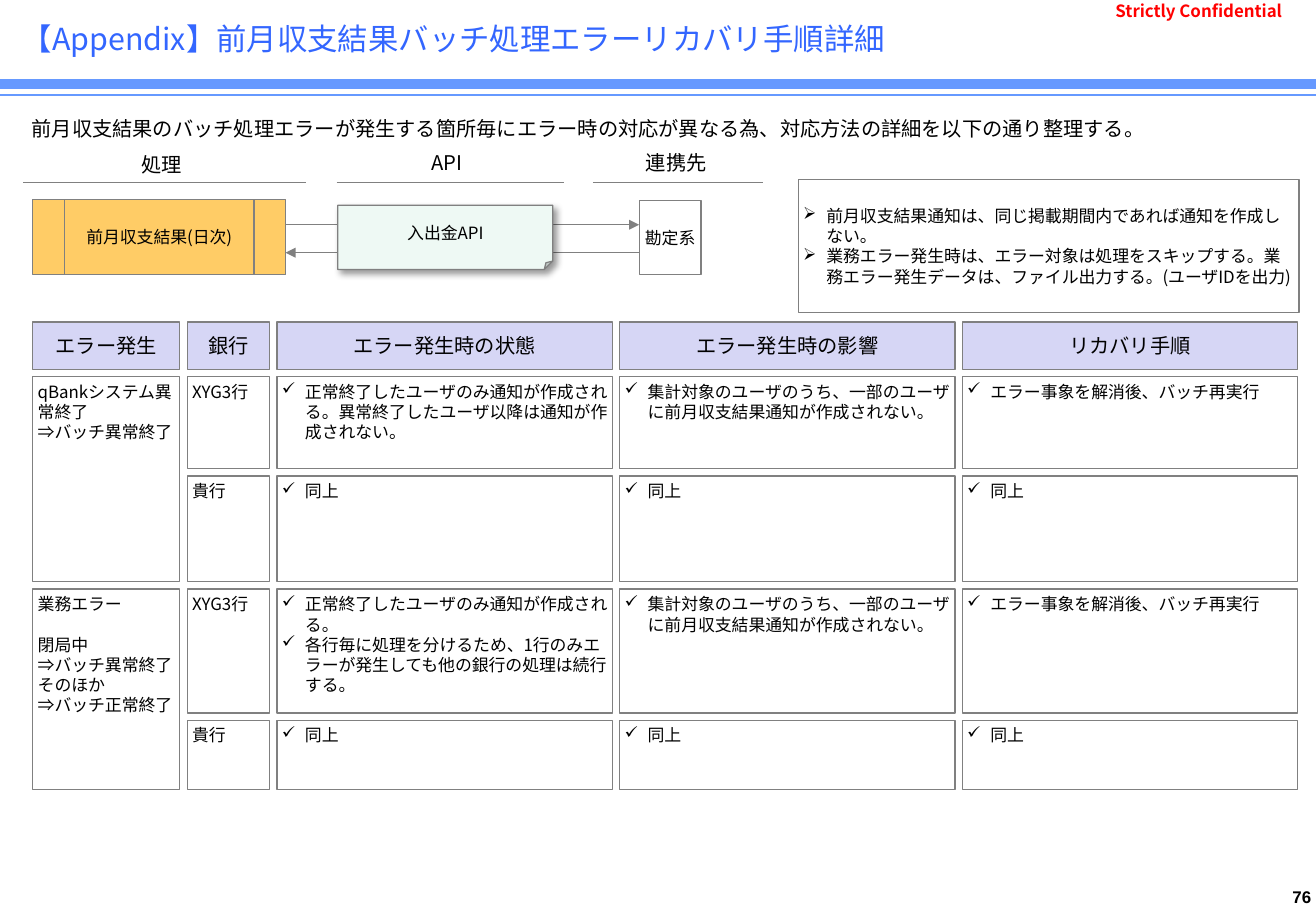
from itertools import accumulate

from lxml import etree
from pptx import Presentation, util as u
from pptx.dml.color import RGBColor
from pptx.enum import shapes, text
from pptx.oxml import ns
from pptx.util import Inches

COLORS = {
    "title": "3366FF", "rule": "6699FF", "alert": "FF0000", "ink": "000000",
    "line": "808080", "paper": "FFFFFF", "header": "D6D6F5",
    "process": "FFCC66", "api": "EEF9F4",
}
FONT = "Noto Sans CJK JP"
SHAPE, ALIGN, ANCHOR = shapes.MSO_SHAPE, text.PP_ALIGN, text.MSO_ANCHOR

# Error table: columns, rows and contents
GAP = 0.06
COLUMN_WIDTHS = [1.21, 0.68, 2.76, 2.76, 2.76]
ROW_HEIGHTS = [0.39, 0.76, 0.87, 1.02, 0.57]
HEADERS = ["エラー発生", "銀行", "エラー発生時の状態", "エラー発生時の影響", "リカバリ手順"]
IMPACT = ["集計対象のユーザのうち、一部のユーザに前月収支結果通知が作成されない。"]
RECOVERY = ["エラー事象を解消後、バッチ再実行"]
SAME = [["同上"]] * 3
ERRORS = [
    ["qBankシステム異常終了", "⇒バッチ異常終了"],
    ["業務エラー", "閉局中", "⇒バッチ異常終了", "そのほか", "⇒バッチ正常終了"],
]
BANKS = ["XYG3行", "貴行"]
DETAILS = [
    [["正常終了したユーザのみ通知が作成される。異常終了したユーザ以降は通知が作成されない。"],
     IMPACT, RECOVERY],
    SAME,
    [["正常終了したユーザのみ通知が作成される。",
      "各行毎に処理を分けるため、1行のみエラーが発生しても他の銀行の処理は続行する。"],
     IMPACT, RECOVERY],
    SAME,
]
NOTES = [
    "前月収支結果通知は、同じ掲載期間内であれば通知を作成しない。",
    "業務エラー発生時は、エラー対象は処理をスキップする。業務エラー発生データは、"
    "ファイル出力する。(ユーザIDを出力)",
]


def rgb(name):
    return RGBColor.from_string(COLORS[name])


def add_xml(parent, tag, **attributes):
    return etree.SubElement(parent, ns.qn(tag), attributes)


def write(frame, lines, size=10, color="ink", bold=False, font=FONT, align=ALIGN.LEFT,
          anchor=ANCHOR.MIDDLE, bullet=None, inset=0.04, side=None, gap_before=None):
    """Fill a text frame; gap_before is the line that gets one line of space above."""
    lines = [lines] if isinstance(lines, str) else lines
    frame.word_wrap = True
    frame.auto_size = text.MSO_AUTO_SIZE.NONE
    frame.vertical_anchor = anchor
    frame.margin_top = frame.margin_bottom = Inches(inset)
    frame.margin_left = frame.margin_right = Inches(inset if side is None else side)
    for index, line in enumerate(lines):
        paragraph = frame.add_paragraph() if index else frame.paragraphs[0]
        paragraph.alignment = align
        if bullet:
            properties = paragraph._p.get_or_add_pPr()
            properties.set("marL", str(Inches(0.19)))
            properties.set("indent", str(-Inches(0.19)))
            add_xml(properties, "a:buChar", char=bullet)
        if size == 10:
            paragraph.line_spacing = u.Pt(12)
        if index and index == gap_before:
            paragraph.space_before = u.Pt(12)
        run = paragraph.add_run()
        run.text = line
        run.font.size = u.Pt(size)
        run.font.bold = bold
        run.font.color.rgb = rgb(color)
        run.font.name = font
        add_xml(run._r.get_or_add_rPr(), "a:ea", typeface=font)


def add_box(slide, at, lines, kind=SHAPE.RECTANGLE, fill="paper", outline=True, **style):
    box = slide.shapes.add_shape(kind, *map(Inches, at))
    box.shadow.inherit = False
    box.fill.solid()
    box.fill.fore_color.rgb = rgb(fill)
    if outline:
        box.line.color.rgb = rgb("line")
        box.line.width = u.Pt(0.75)
    else:
        box.line.fill.background()
    write(box.text_frame, lines, **style)
    return box


def add_label(slide, at, label, **style):
    frame = slide.shapes.add_textbox(*map(Inches, at)).text_frame
    write(frame, label, **style)


def add_line(slide, start, end, color="line", width=0.75, arrow=False):
    line = slide.shapes.add_connector(
        shapes.MSO_CONNECTOR.STRAIGHT, *map(Inches, start + end))
    line.line.color.rgb = rgb(color)
    line.line.width = u.Pt(width)
    if arrow:
        add_xml(line.line._get_or_add_ln(), "a:tailEnd", type="triangle")
    add_xml(line._element.spPr, "a:effectLst")


def add_shadow(box):
    effects = box._element.spPr.find(ns.qn("a:effectLst"))
    shadow = add_xml(effects, "a:outerShdw", blurRad=str(u.Pt(4)), dist=str(u.Pt(3)),
                     dir=str(45 * 60000), algn="tl", rotWithShape="0")
    tint = add_xml(shadow, "a:srgbClr", val=COLORS["ink"])
    add_xml(tint, "a:alpha", val="40000")


def add_page_frame(slide):
    for y, width in ((0.69, 6), (0.78, 1)):
        add_line(slide, (0, y), (10.83, y), "rule", width)
    add_label(slide, (10.51, 7.26, 0.32, 0.25), "76", font="Arial", bold=True,
              align=ALIGN.RIGHT, anchor=ANCHOR.TOP)
    add_label(slide, (9.1, 0.04, 1.76, 0.1), "Strictly Confidential",
              color="alert", bold=True, side=0.08)
    title = slide.shapes.title
    title.left, title.top, title.width, title.height = map(Inches, (0.08, 0.06, 10.38, 0.51))
    write(title.text_frame, "【Appendix】前月収支結果バッチ処理エラーリカバリ手順詳細",
          size=18, color="title", inset=0.05, side=0.1)


def add_flow(slide):
    # Lane headings with their rules
    lanes = [
        ("処理", (0.23, 1.23, 2.2, 0.24), 0.19, 2.52),
        ("API", (2.79, 1.24, 1.78, 0.2), 2.77, 4.64),
        ("連携先", (4.96, 1.24, 1.21, 0.2), 4.88, 6.28),
    ]
    for lane, at, left, right in lanes:
        add_box(slide, at, lane, outline=False, size=12, align=ALIGN.CENTER)
        add_line(slide, (left, 1.5), (right, 1.5))

    # Process, linked system, and the API between them
    add_box(slide, (0.27, 1.64, 2.08, 0.62), "前月収支結果(日次)",
            kind=SHAPE.FLOWCHART_PREDEFINED_PROCESS, fill="process", align=ALIGN.CENTER)
    add_box(slide, (5.26, 1.65, 0.51, 0.61), "勘定系", align=ALIGN.CENTER)
    add_line(slide, (2.35, 1.85), (5.26, 1.85), arrow=True)
    add_line(slide, (5.26, 2.08), (2.35, 2.08), arrow=True)
    api = add_box(slide, (2.78, 1.69, 1.77, 0.53), "入出金API",
                  kind=SHAPE.FOLDED_CORNER, fill="api", align=ALIGN.CENTER)
    fold = api._element.spPr.prstGeom.get_or_add_avLst()
    add_xml(fold, "a:gd", name="adj", fmla="val 13300")
    add_shadow(api)


def add_error_table(slide):
    lefts = list(accumulate([w + GAP for w in COLUMN_WIDTHS], initial=0.27))
    tops = list(accumulate([h + GAP for h in ROW_HEIGHTS], initial=2.65))

    def cell(row, column, lines, span=1, **style):
        height = tops[row + span] - GAP - tops[row]
        at = (lefts[column], tops[row], COLUMN_WIDTHS[column], height)
        add_box(slide, at, lines, **style)

    for column, header in enumerate(HEADERS):
        cell(0, column, header, fill="header", size=12, align=ALIGN.CENTER)
    for group, error in enumerate(ERRORS):
        cell(1 + 2 * group, 0, error, span=2, anchor=ANCHOR.TOP,
             gap_before=1 if group else None)
    for row, details in enumerate(DETAILS, start=1):
        cell(row, 1, BANKS[(row - 1) % 2], anchor=ANCHOR.TOP)
        for column, points in enumerate(details, start=2):
            cell(row, column, points, anchor=ANCHOR.TOP, bullet="✓")


def main():
    deck = Presentation()
    deck.slide_width, deck.slide_height = Inches(10.83), Inches(7.5)
    slide = deck.slides.add_slide(deck.slide_layouts[5])
    add_page_frame(slide)
    add_box(slide, (0.22, 0.84, 10.6, 0.44),
            "前月収支結果のバッチ処理エラーが発生する箇所毎にエラー時の対応が異なる為、"
            "対応方法の詳細を以下の通り整理する。", outline=False, size=12)
    add_flow(slide)
    add_error_table(slide)
    add_box(slide, (6.57, 1.48, 4.12, 1.09), NOTES, bullet="➢")
    deck.save("out.pptx")


if __name__ == "__main__":
    main()
